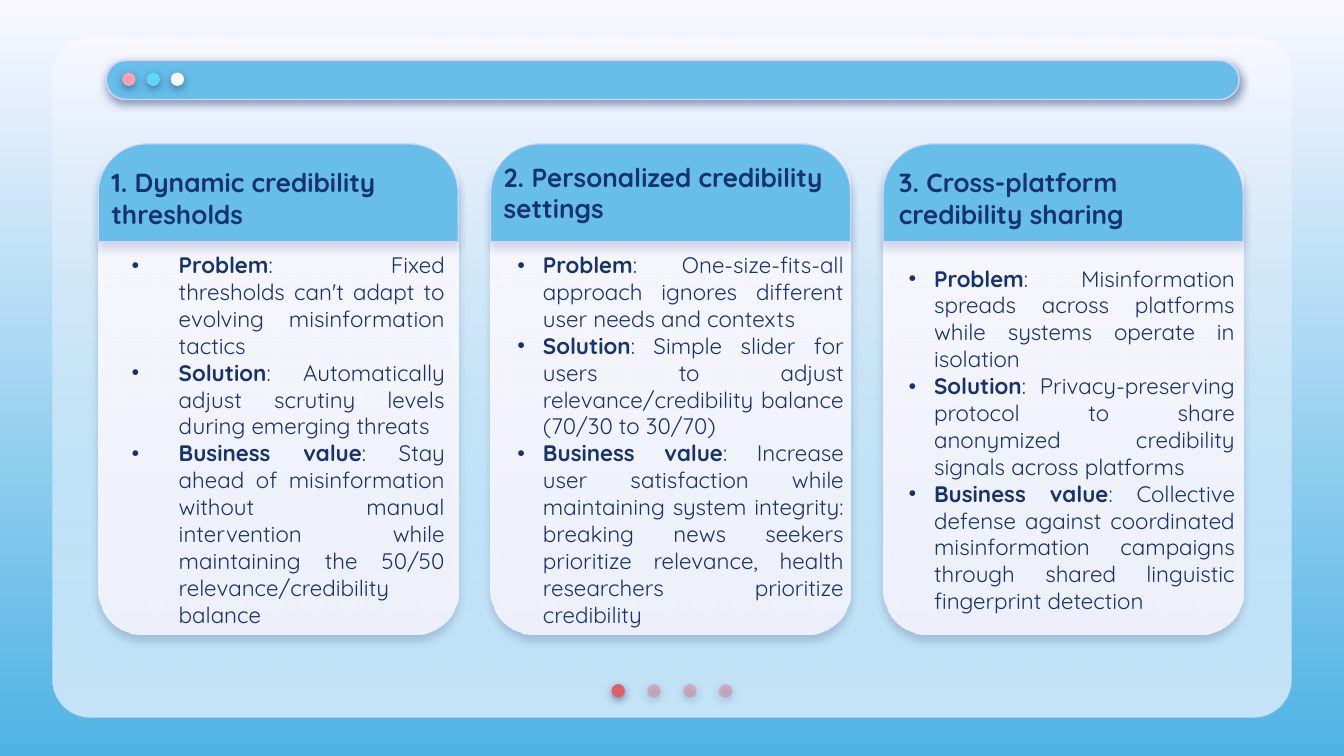
from dataclasses import dataclass

from lxml import etree
from pptx import Presentation
from pptx.dml.color import RGBColor
from pptx.enum.shapes import MSO_SHAPE as SHAPE
from pptx.enum.text import MSO_ANCHOR as ANCHOR, PP_ALIGN as ALIGN
from pptx.oxml.ns import qn
from pptx.util import Inches, Pt


@dataclass(frozen=True)
class Theme:
    font: str = "Quicksand"
    heading: int = 14
    body: int = 12
    navy: str = "17336B"
    blue: str = "66BEE9"
    deep_blue: str = "4EB3E4"
    pale: str = "F9F8FF"
    outline: str = "D2D6FF"
    red: str = "DF5F69"
    faded_red: str = "E27B83"
    pink: str = "FDA0B4"
    aqua: str = "60D8F4"


T = Theme()

# Heading lines, heading offset (x, y), body (x, width), bullet (indent, hang), points
CARDS = [
    (["1. Dynamic credibility", "thresholds"], (0, 0.12), (0.05, 2.58), (0.5, 0.35), [
        ("Problem", "Fixed thresholds can't adapt to evolving misinformation tactics"),
        ("Solution", "Automatically adjust scrutiny levels during emerging threats"),
        ("Business value", "Stay ahead of misinformation without manual intervention "
                           "while maintaining the 50/50 relevance/credibility balance")]),
    (["2. Personalized credibility settings"], (0, 0.08), (0, 2.68), (0.34, 0.19), [
        ("Problem", "One-size-fits-all approach ignores different user needs and contexts"),
        ("Solution", "Simple slider for users to adjust relevance/credibility balance "
                     "(70/30 to 30/70)"),
        ("Business value", "Increase user satisfaction while maintaining system integrity: "
                           "breaking news seekers prioritize relevance, health researchers "
                           "prioritize credibility")]),
    (["3. Cross-platform credibility sharing"], (0.02, 0.12), (-0.01, 2.68), (0.34, 0.19), [
        ("Problem", "Misinformation spreads across platforms while systems operate in "
                    "isolation"),
        ("Solution", "Privacy-preserving protocol to share anonymized credibility signals "
                     "across platforms"),
        ("Business value", "Collective defense against coordinated misinformation campaigns "
                           "through shared linguistic fingerprint detection")]),
]


def rgb(color):
    return RGBColor.from_string(color)


def add_alpha(clr, percent):
    etree.SubElement(clr, qn("a:alpha"), val=str(percent * 1000))


def fill_gradient(fill, top, bottom):
    fill.gradient()
    fill.gradient_angle = 270
    for stop, color in zip(fill.gradient_stops, (top, bottom)):
        stop.color.rgb = rgb(color)


def add_shadow(sp, opacity, distance):
    effects = sp.element.spPr.find(qn("a:effectLst"))
    shadow = etree.SubElement(effects, qn("a:outerShdw"), blurRad=str(Pt(4.5)),
                              dist=str(Pt(distance)), dir="5400000",
                              algn="bl", rotWithShape="0")
    add_alpha(etree.SubElement(shadow, qn("a:srgbClr"), val=T.navy), opacity)


def add_block(slide, kind, box, color, to=None, alpha=100, adj=(), line=None, shadow=None):
    """Add a shape; alpha applies to the fill, or to the last gradient stop."""
    sp = slide.shapes.add_shape(kind, *map(Inches, box))
    for i, value in enumerate(adj):
        sp.adjustments[i] = value
    if to:
        fill_gradient(sp.fill, color, to)
    else:
        sp.fill.solid()
        sp.fill.fore_color.rgb = rgb(color)
    if alpha < 100:
        add_alpha(list(sp.element.spPr.iter(qn("a:srgbClr")))[-1], alpha)
    if line:
        sp.line.color.rgb = rgb(line)
        sp.line.width = Pt(0.75)
    else:
        sp.line.fill.background()
    sp.shadow.inherit = False
    if shadow:
        add_shadow(sp, *shadow)


def add_dots(slide, x, y, gap, dots):
    for i, (color, alpha) in enumerate(dots):
        add_block(slide, SHAPE.OVAL, (x + i * gap, y, 0.1, 0.1), color,
                  alpha=alpha, shadow=(50, 1.5))


def add_text(slide, box):
    tf = slide.shapes.add_textbox(*map(Inches, box)).text_frame
    tf.word_wrap = True
    return tf


def next_paragraph(tf, i):
    return tf.add_paragraph() if i else tf.paragraphs[0]


def add_run(p, text, size, bold):
    r = p.add_run()
    r.text = text
    r.font.name, r.font.size, r.font.bold = T.font, Pt(size), bold
    r.font.color.rgb = rgb(T.navy)


def add_bullet(p, indent, hang):
    pPr = p._p.get_or_add_pPr()
    pPr.set("marL", str(Inches(indent)))
    pPr.set("indent", str(-Inches(hang)))
    color = etree.SubElement(pPr, qn("a:buClr"))
    etree.SubElement(color, qn("a:srgbClr"), val=T.navy)
    etree.SubElement(pPr, qn("a:buFont"), typeface=T.font)
    etree.SubElement(pPr, qn("a:buChar"), char="•")


def add_window(slide, x, y, w, h):
    # Panel: pale base under a fading tint
    box = (x, y, w, h)
    add_block(slide, SHAPE.ROUNDED_RECTANGLE, box, T.pale, adj=[0.056])
    add_block(slide, SHAPE.ROUNDED_RECTANGLE, box, T.pale, to=T.blue, alpha=35, adj=[0.056])
    # Page markers
    add_dots(slide, x + 4.16, y + 4.81, 0.8 / 3, [(T.red, 100)] + [(T.faded_red, 44)] * 3)
    # Title bar with window buttons
    add_block(slide, SHAPE.ROUNDED_RECTANGLE, (x + 0.4, y + 0.17, w - 0.79, 0.29), T.blue,
              adj=[0.5], line=T.outline, shadow=(50, 1.5))
    add_dots(slide, x + 0.52, y + 0.26, 0.18, [(T.pink, 100), (T.aqua, 100), (T.pale, 100)])


def add_card(slide, x, y, w, h, card):
    heading, (dx, dy), (body_x, body_w), bullet, points = card
    # Card body and header
    add_block(slide, SHAPE.ROUNDED_RECTANGLE, (x, y, w, h), T.pale, to=T.pale, alpha=87,
              adj=[0.124], shadow=(22, 3.8))
    add_block(slide, SHAPE.ROUND_2_SAME_RECTANGLE, (x, y, w, 0.73), T.blue,
              adj=[0.5, 0], line=T.outline, shadow=(15, 3.8))
    # Heading
    tf = add_text(slide, (x + dx, y + dy, 2.6, 0.57))
    for i, text in enumerate(heading):
        add_run(next_paragraph(tf, i), text, T.heading, True)
    # Bulleted points
    tf = add_text(slide, (x + body_x, y + 0.75, body_w, h - 0.75))
    tf.vertical_anchor = ANCHOR.MIDDLE
    tf.margin_left = tf.margin_right = Inches(0.05)
    tf.margin_top = tf.margin_bottom = Inches(0.1)
    for i, (label, text) in enumerate(points):
        p = next_paragraph(tf, i)
        p.alignment = ALIGN.JUSTIFY
        add_bullet(p, *bullet)
        add_run(p, label, T.body, True)
        add_run(p, f": {text}", T.body, False)


def main():
    prs = Presentation()
    # Widescreen, 16:9
    prs.slide_width = Inches(10)
    prs.slide_height = Inches(10 * 9 / 16)
    slide = prs.slides.add_slide(prs.slide_layouts[6])
    fill_gradient(slide.background.fill, T.pale, T.deep_blue)
    add_window(slide, 0.39, 0.28, 9.22, 5.06)
    for i, card in enumerate(CARDS):
        add_card(slide, 0.73 + i * 2.92, 1.07, 2.68, 3.65, card)
    prs.save("out.pptx")


if __name__ == "__main__":
    main()
